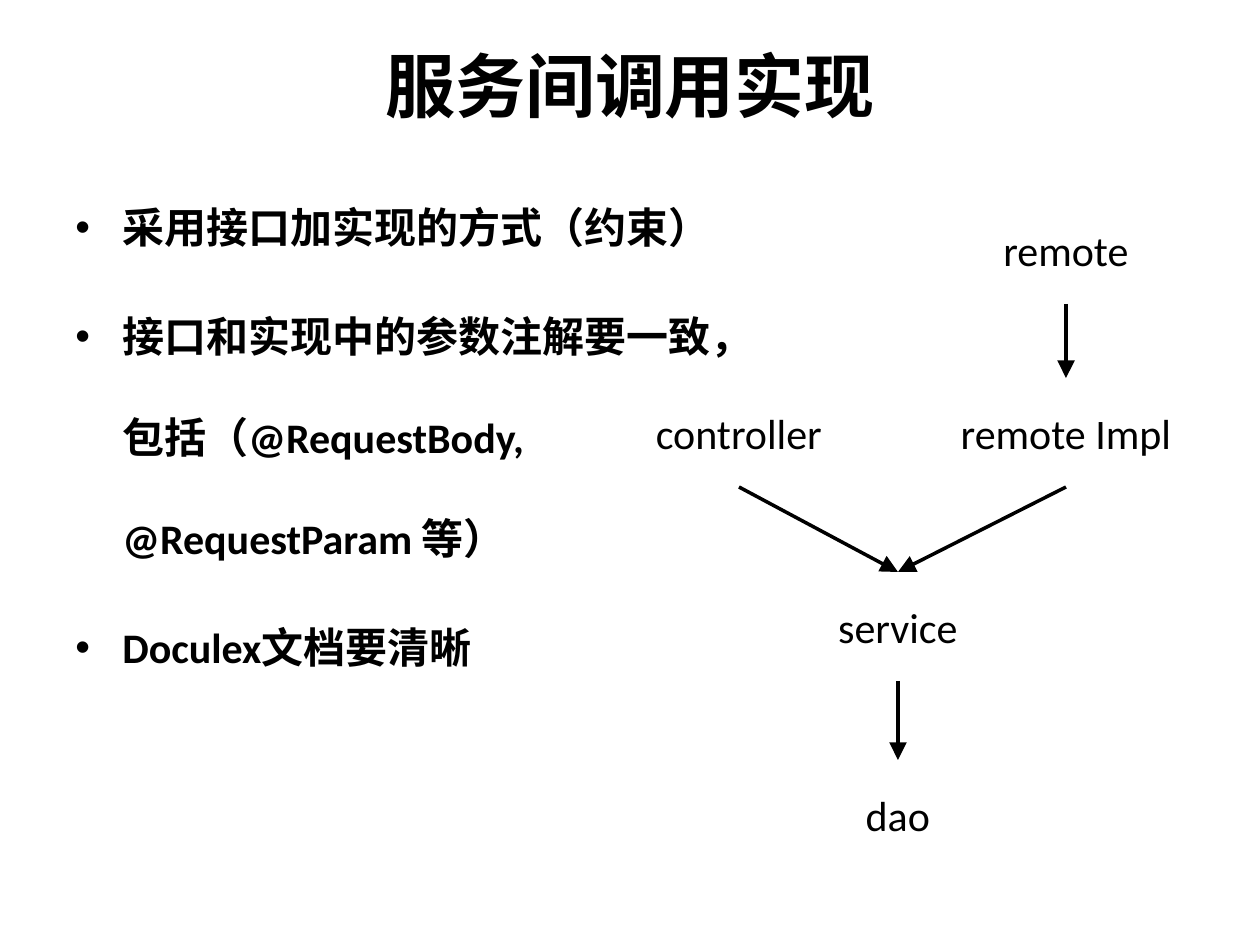
from dataclasses import dataclass

from lxml.etree import SubElement as Sub
from pptx import Presentation
from pptx.dml.color import RGBColor
from pptx.enum.shapes import MSO_CONNECTOR as Conn, MSO_SHAPE as Form
from pptx.enum.text import MSO_ANCHOR as Anchor, MSO_AUTO_SIZE as Fit, PP_ALIGN as Align
from pptx.oxml.ns import qn
from pptx.util import Pt

BLACK = RGBColor(0x00, 0x00, 0x00)
WHITE = RGBColor(0xFF, 0xFF, 0xFF)
PX = 914400 / 126
TOP, BOTTOM = 0, 2
BOX_W, BOX_H = 278, 109

HEAD = {"name": "Arial", "size": Pt(40), "bold": True}
BODY = {"name": "Calibri", "size": Pt(24), "bold": True}
LABEL = {"name": "Calibri", "size": Pt(24), "bold": False}
ARROW = {"type": "triangle", "w": "lg", "len": "lg"}


@dataclass
class Node:
    text: str
    x: int
    y: int


@dataclass
class Link:
    start: str
    end: str


NODES = [
    Node("controller", 600, 378),
    Node("remote Impl", 927, 378),
    Node("service", 759, 572),
    Node("remote", 927, 195),
    Node("dao", 759, 760),
]
LINKS = [
    Link("remote", "remote Impl"),
    Link("remote Impl", "service"),
    Link("controller", "service"),
    Link("service", "dao"),
]
POINTS = [
    "采用接口加实现的方式（约束）",
    "接口和实现中的参数注解要一致，包括（@RequestBody, @RequestParam 等）",
    "Doculex文档要清晰",
]


def emu(*nums: int) -> list[int]:
    return [round(n * PX) for n in nums]


def write(para, text: str, style: dict) -> None:
    run = para.add_run()
    run.text = text
    for key, val in style.items():
        setattr(run.font, key, val)
    run.font.color.rgb = BLACK


def add_title(slide, text: str) -> None:
    title = slide.shapes.title
    title.left, title.top, title.width, title.height = emu(0, 36, 1260, 97)
    frame = title.text_frame
    frame.word_wrap = True
    frame.auto_size = Fit.SHAPE_TO_FIT_TEXT
    frame.vertical_anchor = Anchor.TOP
    para = frame.paragraphs[0]
    para.alignment = Align.CENTER
    write(para, text, HEAD)


def add_list(slide, items: list[str]) -> None:
    frame = slide.shapes.add_textbox(*emu(63, 145, 667, 586)).text_frame
    frame.word_wrap = True
    for i, item in enumerate(items):
        para = frame.add_paragraph() if i else frame.paragraphs[0]
        para.line_spacing = 2.0
        para.space_before = Pt(4.8)
        # Hanging bullet
        props = para._p.get_or_add_pPr()
        dent = emu(47)[0]
        props.set("marL", str(dent))
        props.set("indent", str(-dent))
        Sub(props, qn("a:buFont")).set("typeface", "Arial")
        Sub(props, qn("a:buChar")).set("char", "•")
        write(para, item, BODY)


def add_node(slide, node: Node):
    box = slide.shapes.add_shape(
        Form.ROUNDED_RECTANGLE, *emu(node.x, node.y, BOX_W, BOX_H))
    box.shadow.inherit = False
    box.fill.solid()
    box.fill.fore_color.rgb = WHITE
    box.line.fill.background()
    frame = box.text_frame
    frame.vertical_anchor = Anchor.MIDDLE
    para = frame.paragraphs[0]
    para.alignment = Align.CENTER
    write(para, node.text, LABEL)
    return box


def add_link(slide, link: Link, boxes: dict) -> None:
    line = slide.shapes.add_connector(Conn.STRAIGHT, 0, 0, 0, 0)
    line.begin_connect(boxes[link.start], BOTTOM)
    line.end_connect(boxes[link.end], TOP)
    line.line.color.rgb = BLACK
    line.line.width = Pt(2)
    # Arrowhead, and no shadow
    Sub(line.line._get_or_add_ln(), qn("a:tailEnd"), ARROW)
    Sub(line._element.spPr, qn("a:effectLst"))


def main() -> None:
    deck = Presentation()
    deck.slide_width, deck.slide_height = emu(1260, 945)
    slide = deck.slides.add_slide(deck.slide_layouts[5])

    # Title and bullet list
    add_title(slide, "服务间调用实现")
    add_list(slide, POINTS)

    # Call diagram
    boxes = {node.text: add_node(slide, node) for node in NODES}
    for link in LINKS:
        add_link(slide, link, boxes)

    deck.save("out.pptx")


if __name__ == "__main__":
    main()
